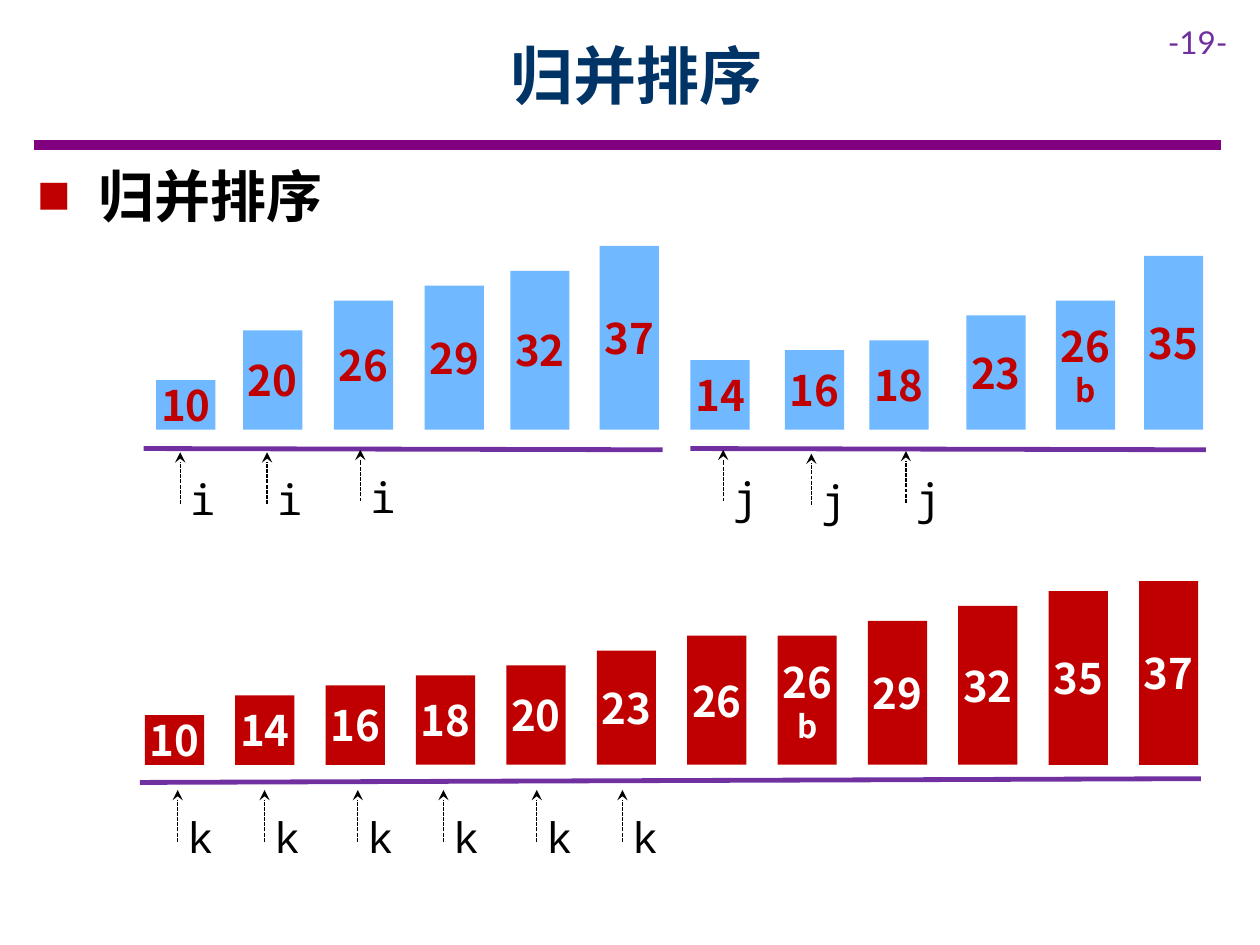
from lxml import etree
from pptx import Presentation
from pptx import util as u
from pptx.dml.color import RGBColor
from pptx.enum import dml, shapes, text
from pptx.oxml.ns import qn

PX = 9144  # EMU; 100 px to the inch
SANS, MONO, LATO = "Noto Sans CJK SC", "Noto Sans Mono", "Lato"
RED, BLUE, PURPLE = "C00000", "70B8FF", "7030A0"
BAR_WIDTH, PX_PER_UNIT = 47, 3.94
ARROW_LENGTH = 41


def px(*lengths):
    return [u.Emu(round(length * PX)) for length in lengths]


def color(value):
    return RGBColor.from_string(value)


def style(paragraph, size, face, hue, bold=False):
    font = paragraph.font
    font.size, font.name, font.bold = u.Pt(size), face, bold
    font.color.rgb = color(hue)
    # East Asian glyphs take their own typeface element.
    properties = paragraph._p.pPr.find(qn("a:defRPr"))
    etree.SubElement(properties, qn("a:ea"), typeface=face)


def add_line(parent, start, end, hue, width):
    line = parent.shapes.add_connector(
        shapes.MSO_CONNECTOR.STRAIGHT, *px(*start, *end))
    line.line.color.rgb = color(hue)
    line.line.width = u.Pt(width)
    etree.SubElement(line._element.spPr, qn("a:effectLst"))
    return line


def add_label(parent, box, words, size, face, hue, bold=False, wrap=True):
    frame = parent.shapes.add_textbox(*px(*box)).text_frame
    frame.word_wrap = wrap
    frame.text = words
    style(frame.paragraphs[0], size, face, hue, bold)
    return frame.paragraphs[0]


def add_header(slide, box):
    left, top, width, height = box
    title = slide.shapes.title
    title.left, title.top, title.width, title.height = px(
        left + 63, top + 9, 831, 100)
    title.text_frame.text = "归并排序"
    title.text_frame.vertical_anchor = text.MSO_ANCHOR.MIDDLE
    heading = title.text_frame.paragraphs[0]
    heading.alignment = text.PP_ALIGN.CENTER
    style(heading, 36, SANS, "003366", True)
    add_label(slide, (left + 890, top + 13, 83, 40), "-19-", 18, LATO, PURPLE)
    bottom = top + height
    add_line(slide, (left, bottom), (left + width, bottom), "800080", 6)


def add_bullet(slide, box):
    item = add_label(slide, box, " 归并排序", 32, SANS, "000000", True)
    item.space_after = u.Pt(6)
    properties = item._p.pPr
    indent = px(38)[0]
    properties.set("marL", str(indent))
    properties.set("indent", str(-indent))
    run_defaults = properties.find(qn("a:defRPr"))
    marker = etree.Element(qn("a:buClr"))
    etree.SubElement(marker, qn("a:srgbClr"), val=RED)
    run_defaults.addprevious(marker)
    for tag, attributes in (("a:buSzPct", {"val": "60000"}),
                            ("a:buFont", {"typeface": SANS}),
                            ("a:buChar", {"char": "■"})):
        run_defaults.addprevious(etree.Element(qn(tag), attributes))


def add_bar(slide, left, bottom, label, fill, ink):
    """Draw one key as a bar whose height is proportional to its value."""
    lines = label.split("\n")
    height = int(lines[0]) * PX_PER_UNIT
    bar = slide.shapes.add_shape(
        shapes.MSO_SHAPE.RECTANGLE,
        *px(left, bottom - height, BAR_WIDTH, height))
    bar.shadow.inherit = False
    bar.fill.solid()
    bar.fill.fore_color.rgb = color(fill)
    bar.line.fill.background()
    frame = bar.text_frame
    frame.margin_left = frame.margin_right = 0
    frame.margin_top = frame.margin_bottom = px(10)[0]
    frame.vertical_anchor = text.MSO_ANCHOR.MIDDLE
    frame.text = label
    for paragraph, size in zip(frame.paragraphs, (24, 18)):
        paragraph.alignment = text.PP_ALIGN.CENTER
        style(paragraph, size, SANS, ink, True)


def add_pointer(slide, x, tip, name):
    """Draw an index variable with its dashed arrow pointing up."""
    pointer = slide.shapes.add_group_shape()
    add_label(pointer, (x - 2, tip + 12, 39, 50), name, 24, MONO, "000000",
              wrap=False)
    arrow = add_line(pointer, (x, tip + ARROW_LENGTH), (x, tip),
                     "000000", 0.75)
    arrow.line.dash_style = dml.MSO_LINE.SQUARE_DOT
    etree.SubElement(arrow.line._get_or_add_ln(), qn("a:tailEnd"),
                     type="stealth")


def add_sequence(slide, box, bars, colors, axis_gaps, index, pointers):
    """Draw a run of bars standing on the box's bottom, its axis and pointers."""
    left, top, width, height = box
    bottom = top + height
    start_gap, end_gap = axis_gaps
    add_line(slide, (left, bottom + start_gap),
             (left + width, bottom + end_gap), PURPLE, 2.75)
    for offset, label in bars:
        add_bar(slide, left + offset, bottom, label, *colors)
    for offset, gap in pointers:
        add_pointer(slide, left + offset, bottom + gap, index)


def main():
    deck = Presentation()
    deck.slide_width, deck.slide_height = px(1000, 750)
    slide = deck.slides.add_slide(deck.slide_layouts[5])
    add_header(slide, (27, 0, 942, 115))
    add_bullet(slide, (20, 123, 945, 64))

    first_run = [(10, "10"), (79, "20"), (151, "26"),
                 (223, "29"), (291, "32"), (362, "37")]
    second_run = [(0, "14"), (75, "16"), (142, "18"),
                  (219, "23"), (290, "26\nb"), (360, "35")]
    merged_keys = sorted((label for _, label in first_run + second_run))
    merged = [(4 + 71.73 * place, label)
              for place, label in enumerate(merged_keys)]

    add_sequence(slide, (114, 196, 412, 145), first_run, (BLUE, RED),
                 (15, 16), "i", [(29, 18), (98, 18), (172, 16)])
    add_sequence(slide, (548, 204, 409, 137), second_run, (BLUE, RED),
                 (15, 16), "j", [(26, 16), (96, 19), (171, 17)])
    add_sequence(slide, (111, 462, 842, 145), merged, (RED, "FFFFFF"),
                 (14, 11), "k",
                 [(x, 20) for x in (30, 99, 173, 241, 315, 383)])
    deck.save("out.pptx")


if __name__ == "__main__":
    main()
